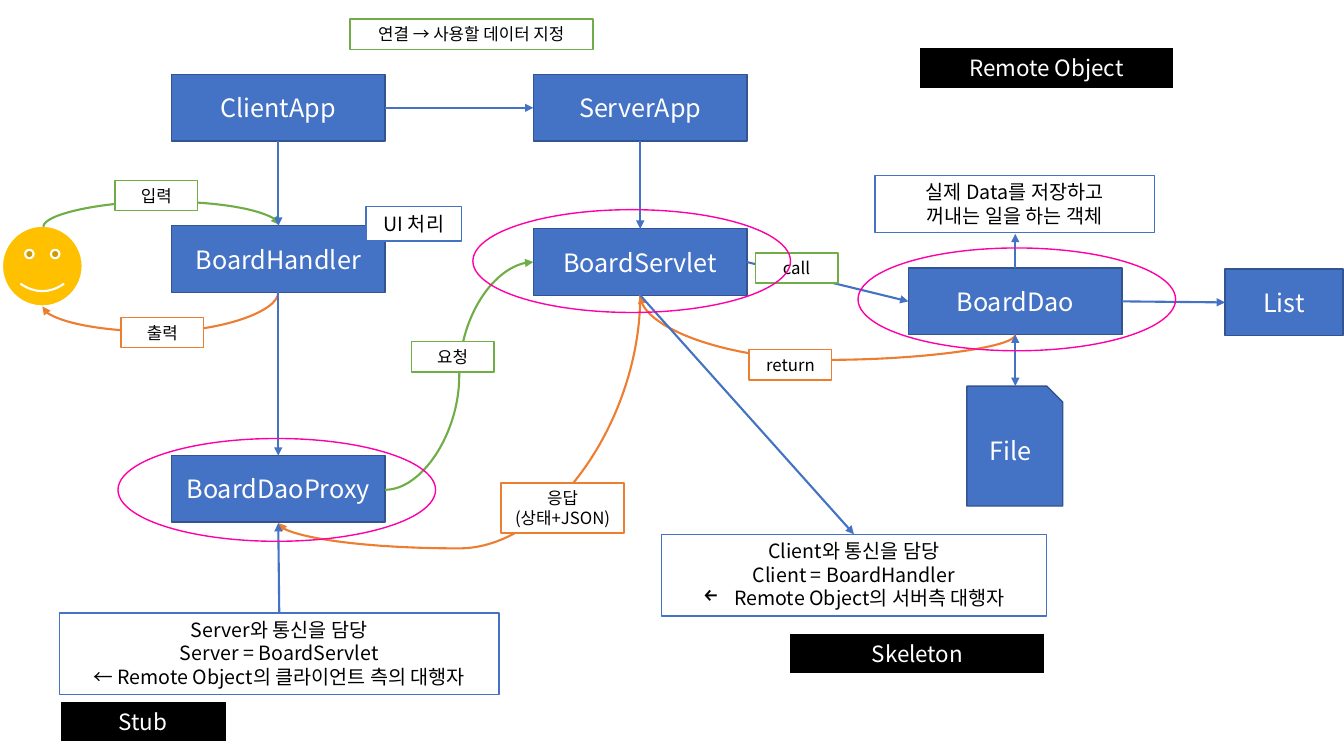
import pptx
import pptx.dml.color
import pptx.enum.shapes
import pptx.enum.text
import pptx.oxml
import pptx.oxml.ns
import pptx.util
from lxml import etree
from pptx.util import Inches

FONT = "Noto Sans CJK KR"
COLORS = {
    "blue": "4472C4", "navy": "325491", "green": "70AD47", "orange": "ED7D31",
    "yellow": "FFC000", "pink": "FF00A8", "black": "000000", "white": "FFFFFF",
}
SHAPES = pptx.enum.shapes.MSO_SHAPE
CONNECTORS = pptx.enum.shapes.MSO_CONNECTOR
BOX_SIZE = (2.12, 0.66)
TAG_SIZE = (0.82, 0.3)
RING_SIZE = (3.15, 1.02)


def rgb(color):
    return pptx.dml.color.RGBColor.from_string(COLORS[color])


def add_child(parent, tag, **attributes):
    return etree.SubElement(parent, pptx.oxml.ns.qn(tag), **attributes)


def add_outline(slide, kind, position, size, fill, line, width=1):
    shape = slide.shapes.add_shape(kind, *map(Inches, position + size))
    shape.shadow.inherit = False
    if fill:
        shape.fill.solid()
        shape.fill.fore_color.rgb = rgb(fill)
    else:
        shape.fill.background()
    shape.line.color.rgb = rgb(line)
    shape.line.width = pptx.util.Pt(width)
    return shape


def write_text(shape, text, size, color):
    frame = shape.text_frame
    frame.word_wrap = True
    frame.text = text
    for paragraph in frame.paragraphs:
        paragraph.alignment = pptx.enum.text.PP_ALIGN.CENTER
        font = paragraph.font
        font.size = pptx.util.Pt(size)
        font.color.rgb = rgb(color)
        font.name = FONT
        add_child(font._rPr, "a:ea", typeface=FONT)


def add_box(slide, text, position, size=BOX_SIZE, kind=SHAPES.RECTANGLE):
    shape = add_outline(slide, kind, position, size, "blue", "navy")
    write_text(shape, text, 18, "white")


def add_role(slide, text, position, size):
    shape = add_outline(slide, SHAPES.RECTANGLE, position, size, "black", "white", 1.5)
    write_text(shape, text, 16, "white")


def add_note(slide, text, position, size=TAG_SIZE, line="blue", points=14):
    shape = add_outline(slide, SHAPES.RECTANGLE, position, size, "white", line)
    write_text(shape, text, points, "black")
    frame = shape.text_frame
    frame.margin_left = frame.margin_right = Inches(0.03)
    frame.vertical_anchor = pptx.enum.text.MSO_ANCHOR.TOP
    frame.auto_size = pptx.enum.text.MSO_AUTO_SIZE.SHAPE_TO_FIT_TEXT
    return shape


def add_arrow(slide, start, end, color="blue", kind=CONNECTORS.STRAIGHT, both=False):
    connector = slide.shapes.add_connector(kind, *map(Inches, start + end))
    connector.line.color.rgb = rgb(color)
    connector.line.width = pptx.util.Pt(1.5)
    line = connector.line._get_or_add_ln()
    if both:
        add_child(line, "a:headEnd", type="triangle")
    add_child(line, "a:tailEnd", type="triangle")
    add_child(connector._element.spPr, "a:effectLst")
    return connector


def add_loop(slide, start, end, bend_y, color):
    (x1, y1), (x2, y2) = start, end
    center_x, center_y = (x1 + x2) / 2, (y1 + y2) / 2
    half_x, half_y = (x2 - x1) / 2, (y2 - y1) / 2
    connector = add_arrow(
        slide, (center_x - half_y, center_y + half_x),
        (center_x + half_y, center_y - half_x), color, CONNECTORS.CURVE)
    properties = connector._element.spPr
    properties.find(pptx.oxml.ns.qn("a:xfrm")).set("rot", str(90 * 60000))
    guides = properties.find(".//" + pptx.oxml.ns.qn("a:avLst"))
    bend = round((bend_y - y1) / (y2 - y1) * 100000)
    add_child(guides, "a:gd", name="adj1", fmla=f"val {bend}")


def add_arrow_bullet(paragraph):
    properties = paragraph._p.get_or_add_pPr()
    indent = Inches(0.31)
    properties.set("marL", str(indent))
    properties.set("indent", str(-indent))
    bullet = pptx.oxml.parse_xml(
        f'<a:buChar {pptx.oxml.ns.nsdecls("a")} char="←"/>')
    properties.insert(0, bullet)


def main():
    presentation = pptx.Presentation()
    presentation.slide_width = Inches(13.33)
    presentation.slide_height = Inches(7.5)
    slide = presentation.slides.add_slide(presentation.slide_layouts[6])

    for text, position in [
        ("ClientApp", (1.7, 0.74)), ("BoardHandler", (1.7, 2.24)),
        ("BoardDaoProxy", (1.7, 4.52)), ("ServerApp", (5.29, 0.74)),
        ("BoardServlet", (5.29, 2.27)), ("BoardDao", (9.01, 2.66)),
    ]:
        add_box(slide, text, position)
    add_box(slide, "List", (12.15, 2.67), (1.17, 0.66))
    add_box(slide, "File", (9.59, 3.83), (0.95, 1.19), SHAPES.SNIP_1_RECTANGLE)
    add_outline(slide, SHAPES.SMILEY_FACE, (0.02, 2.24), (0.8, 0.8), "yellow", "white", 1.5)

    add_arrow(slide, (3.82, 4.86), (5.29, 2.6), "green", CONNECTORS.CURVE)
    for start, end, bend_y, color in [
        ((6.35, 2.93), (2.76, 5.19), 5.44, "orange"),
        ((10.07, 3.32), (6.35, 2.93), 3.57, "orange"),
        ((0.43, 2.25), (2.77, 2.23), 2, "green"),
        ((2.76, 2.9), (0.42, 3.04), 3.29, "orange"),
    ]:
        add_loop(slide, start, end, bend_y, color)

    for start, end in [
        ((3.82, 1.07), (5.29, 1.07)), ((2.76, 1.4), (2.76, 2.24)),
        ((2.76, 2.9), (2.76, 4.52)), ((2.77, 6.08), (2.76, 5.19)),
        ((6.35, 1.4), (6.35, 2.27)), ((6.35, 2.93), (8.47, 5.3)),
        ((7.41, 2.6), (9.01, 2.99)), ((11.13, 2.99), (12.15, 3)),
        ((10.07, 2.66), (10.07, 2.32)),
    ]:
        add_arrow(slide, start, end)
    add_arrow(slide, (10.07, 3.32), (10.07, 3.83), both=True)

    for text, position, size, line in [
        ("연결 → 사용할 데이터 지정", (3.47, 0.19), (2.41, 0.3), "green"),
        ("입력", (1.14, 1.79), TAG_SIZE, "green"),
        ("출력", (1.2, 3.15), TAG_SIZE, "orange"),
        ("요청", (4.08, 3.39), TAG_SIZE, "green"),
        ("응답\n(상태+JSON)", (4.97, 4.79), (1.22, 0.5), "orange"),
        ("call", (7.49, 2.51), TAG_SIZE, "green"),
        ("return", (7.43, 3.47), TAG_SIZE, "orange"),
    ]:
        add_note(slide, text, position, size, line, 12)

    add_note(slide, "UI 처리", (3.63, 2.05), (0.95, 0.34))
    add_note(slide, "실제 Data를 저장하고\n꺼내는 일을 하는 객체", (8.68, 1.74), (2.77, 0.57))
    add_note(slide, "Server와 통신을 담당\nServer = BoardServlet\n"
             "← Remote Object의 클라이언트 측의 대행자", (0.59, 6.08), (4.36, 0.81))
    skeleton_note = add_note(
        slide, "Client와 통신을 담당\nClient = BoardHandler\n"
        "Remote Object의 서버측 대행자", (6.56, 5.3), (3.82, 0.81))
    add_arrow_bullet(skeleton_note.text_frame.paragraphs[-1])

    for position in [(1.17, 4.35), (4.69, 2.08), (8.51, 2.46)]:
        add_outline(slide, SHAPES.OVAL, position, RING_SIZE, None, "pink")

    add_role(slide, "Remote Object", (9.11, 0.47), (2.54, 0.41))
    add_role(slide, "Skeleton", (7.83, 6.28), (2.54, 0.41))
    add_role(slide, "Stub", (0.59, 6.95), (1.66, 0.41))
    presentation.save("out.pptx")


main()
